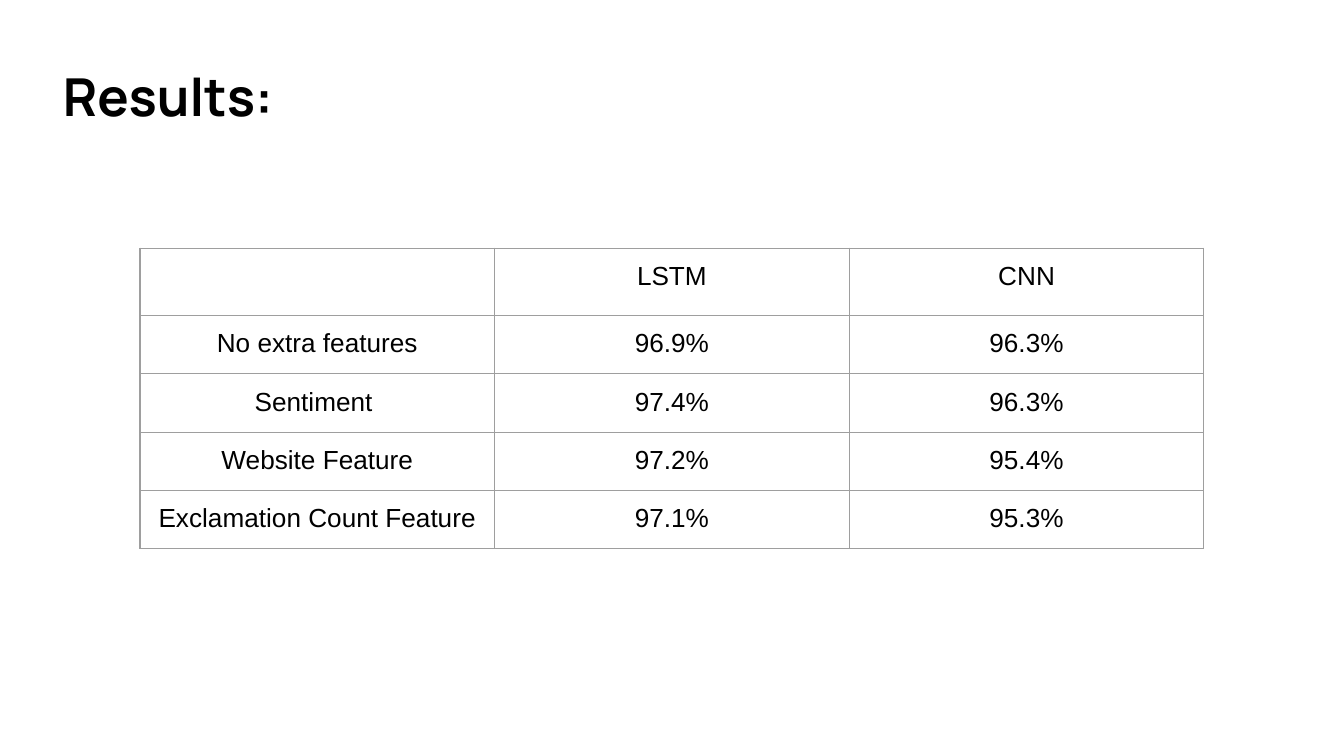
import pptx
import pptx.dml.color
import pptx.enum.text
import pptx.oxml
import pptx.oxml.ns
import pptx.util

Pt = pptx.util.Pt
INSET = Pt(7.2)
MARGINS = {"margin_left": INSET, "margin_right": INSET,
           "margin_top": INSET, "margin_bottom": INSET}
TITLE_FONT = {"name": "Manrope", "size": Pt(28), "bold": True}
CELL_FONT = {"name": "Arial", "size": Pt(14), "bold": False}
INK = "000000"
GRID = "9E9E9E"

RESULTS = [
    ("", "LSTM", "CNN"),
    ("No extra features", "96.9%", "96.3%"),
    ("Sentiment ", "97.4%", "96.3%"),
    ("Website Feature", "97.2%", "95.4%"),
    ("Exclamation Count Feature", "97.1%", "95.3%"),
]
COLUMN_WIDTH = 190
HEADER_HEIGHT = 34.3
ROW_HEIGHT = 30.15


def colour(hex_value):
    return pptx.dml.color.RGBColor.from_string(hex_value)


def apply_format(target, values):
    for name, value in values.items():
        setattr(target, name, value)


def write_text(paragraph, text, font_format):
    run = paragraph.add_run()
    run.text = text
    apply_format(run.font, font_format)
    run.font.color.rgb = colour(INK)


def add_title(slide, text):
    title = slide.shapes.add_textbox(Pt(26.6), Pt(27.4), Pt(260), Pt(133)).text_frame
    apply_format(title, {**MARGINS, "word_wrap": True})
    write_text(title.paragraphs[0], text, TITLE_FONT)


def add_borders(cell):
    properties = cell._tc.get_or_add_tcPr()
    for position, side in enumerate(("lnL", "lnR", "lnT", "lnB")):
        border = pptx.oxml.parse_xml(
            f'<a:{side} {pptx.oxml.ns.nsdecls("a")} w="{Pt(0.75)}">'
            f'<a:solidFill><a:srgbClr val="{GRID}"/></a:solidFill></a:{side}>'
        )
        properties.insert(position, border)


def fill_cell(cell, text):
    apply_format(cell, MARGINS)
    cell.fill.background()
    add_borders(cell)
    paragraph = cell.text_frame.paragraphs[0]
    paragraph.alignment = pptx.enum.text.PP_ALIGN.CENTER
    write_text(paragraph, text, CELL_FONT)


def add_results_table(slide, rows):
    column_count = len(rows[0])
    heights = [HEADER_HEIGHT] + [ROW_HEIGHT] * (len(rows) - 1)
    results = slide.shapes.add_table(
        len(rows), column_count, Pt(75), Pt(133),
        Pt(COLUMN_WIDTH * column_count), Pt(sum(heights)),
    ).table
    apply_format(results, {"first_row": False, "horz_banding": False})
    for column in results.columns:
        column.width = Pt(COLUMN_WIDTH)
    for row, height, texts in zip(results.rows, heights, rows):
        row.height = Pt(height)
        for cell, text in zip(row.cells, texts):
            fill_cell(cell, text)


def main():
    deck = pptx.Presentation()
    apply_format(deck, {"slide_width": Pt(720), "slide_height": Pt(405)})
    slide = deck.slides.add_slide(deck.slide_layouts[6])
    add_title(slide, "Results:")
    add_results_table(slide, RESULTS)
    deck.save("out.pptx")


if __name__ == "__main__":
    main()
